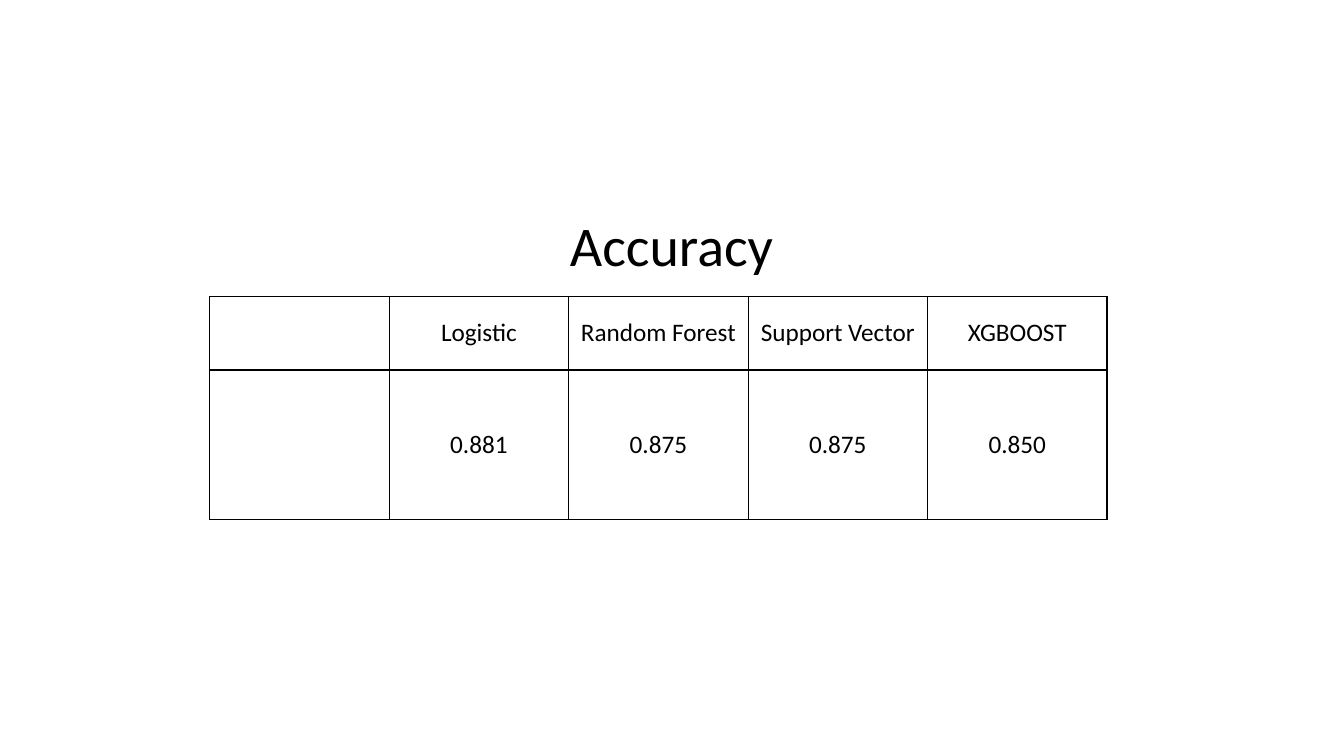
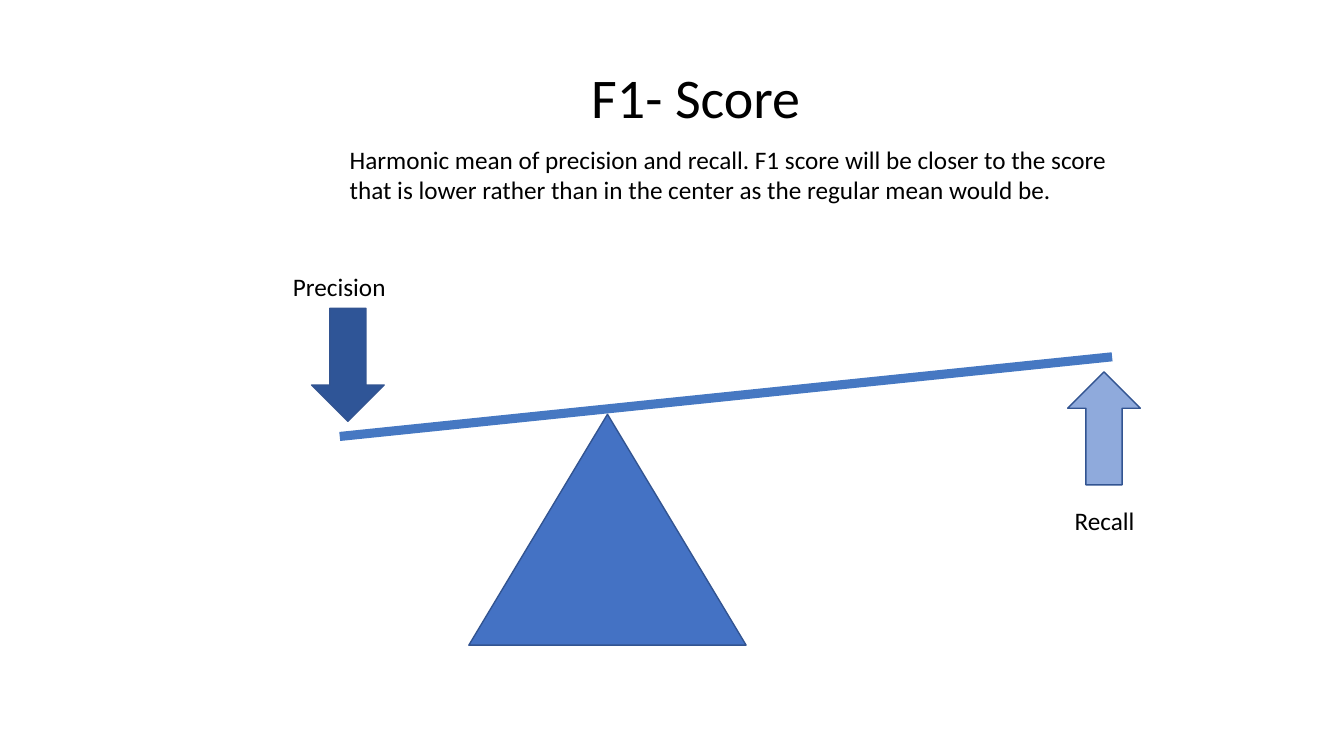
import pptx
import pptx.dml.color
import pptx.enum.shapes
import pptx.enum.text
import pptx.oxml.ns
import pptx.util
from lxml import etree

PX = 9144
BLACK = "000000"
OUTLINE = "325491"
SHAPES = pptx.enum.shapes.MSO_SHAPE
CENTER = pptx.enum.text.PP_ALIGN.CENTER
LEFT = pptx.enum.text.PP_ALIGN.LEFT
BODY = {"name": "Calibri", "size": pptx.util.Pt(18), "bold": False}
TITLE = {**BODY, "size": pptx.util.Pt(40)}


def px(*lengths):
    return [length * PX for length in lengths]


def color(value):
    return pptx.dml.color.RGBColor.from_string(value)


def apply_format(target, values):
    for name, value in values.items():
        setattr(target, name, value)


def write_text(frame, text, values=BODY, alignment=CENTER):
    frame.word_wrap = True
    paragraph = frame.paragraphs[0]
    paragraph.alignment = alignment
    run = paragraph.add_run()
    run.text = text
    apply_format(run.font, values)
    run.font.color.rgb = color(BLACK)


def add_text(slide, box, text, values=BODY, alignment=CENTER):
    shape = slide.shapes.add_textbox(*px(*box))
    write_text(shape.text_frame, text, values, alignment)


def add_shape(slide, kind, box, fill, rotation=0):
    shape = slide.shapes.add_shape(kind, *px(*box))
    apply_format(shape, {"rotation": rotation})
    shape.shadow.inherit = False
    shape.fill.solid()
    shape.fill.fore_color.rgb = color(fill)
    shape.line.color.rgb = color(OUTLINE)
    shape.line.width = pptx.util.Pt(1)


def add_line(slide, ends, line_color, width):
    connector = slide.shapes.add_connector(
        pptx.enum.shapes.MSO_CONNECTOR.STRAIGHT, *px(*ends))
    connector.line.color.rgb = color(line_color)
    connector.line.width = pptx.util.Pt(width)
    etree.SubElement(connector._element.spPr, pptx.oxml.ns.qn("a:effectLst"))


def add_borders(cell):
    properties = cell._tc.get_or_add_tcPr()
    for index, side in enumerate("LRTB"):
        border = etree.Element(pptx.oxml.ns.qn(f"a:ln{side}"), w=str(pptx.util.Pt(1)))
        fill = etree.SubElement(border, pptx.oxml.ns.qn("a:solidFill"))
        etree.SubElement(fill, pptx.oxml.ns.qn("a:srgbClr"), val=BLACK)
        properties.insert(index, border)


def add_table(slide, left, top, column_width, row_heights, rows):
    box = (left, top, column_width * len(rows[0]), sum(row_heights))
    table = slide.shapes.add_table(len(rows), len(rows[0]), *px(*box)).table
    apply_format(table, {"first_row": False, "horz_banding": False})
    for row, height, texts in zip(table.rows, row_heights, rows):
        row.height = height * PX
        for cell, text in zip(row.cells, texts):
            cell.fill.background()
            cell.vertical_anchor = pptx.enum.text.MSO_ANCHOR.MIDDLE
            add_borders(cell)
            if text:
                write_text(cell.text_frame, text)


def add_slide(presentation, title, title_box):
    slide = presentation.slides.add_slide(presentation.slide_layouts[6])
    add_text(slide, title_box, title, TITLE)
    return slide


def build_accuracy(presentation):
    slide = add_slide(presentation, "Accuracy", (410, 204, 512, 77))
    add_table(slide, 208, 294, 178, (73, 148), (
        ("", "Logistic", "Random Forest", "Support Vector", "XGBOOST"),
        ("", "0.881", "0.875", "0.875", "0.850")))


def build_f1_score(presentation):
    slide = add_slide(presentation, "F1- Score", (400, 57, 580, 77))
    add_line(slide, (337, 433, 1103, 354), "4678C2", 6.5)
    add_shape(slide, SHAPES.DOWN_ARROW, (309, 306, 72, 112), "2F5597")
    add_shape(slide, SHAPES.DOWN_ARROW, (1059, 369, 72, 112), "8FAADC", 180)
    add_text(slide, (226, 264, 221, 40), "Precision")
    add_text(slide, (985, 496, 221, 40), "Recall")
    add_shape(slide, SHAPES.ISOSCELES_TRIANGLE, (465, 411, 275, 229), "4472C4")
    add_text(slide, (337, 138, 800, 71),
             "Harmonic mean of precision and recall. F1 score will be closer to the score "
             "that is lower rather than in the center as the regular mean would be.",
             alignment=LEFT)


def main():
    presentation = pptx.Presentation()
    width, height = px(1333, 750)
    apply_format(presentation, {"slide_width": width, "slide_height": height})
    build_accuracy(presentation)
    build_f1_score(presentation)
    presentation.save("out.pptx")


if __name__ == "__main__":
    main()
